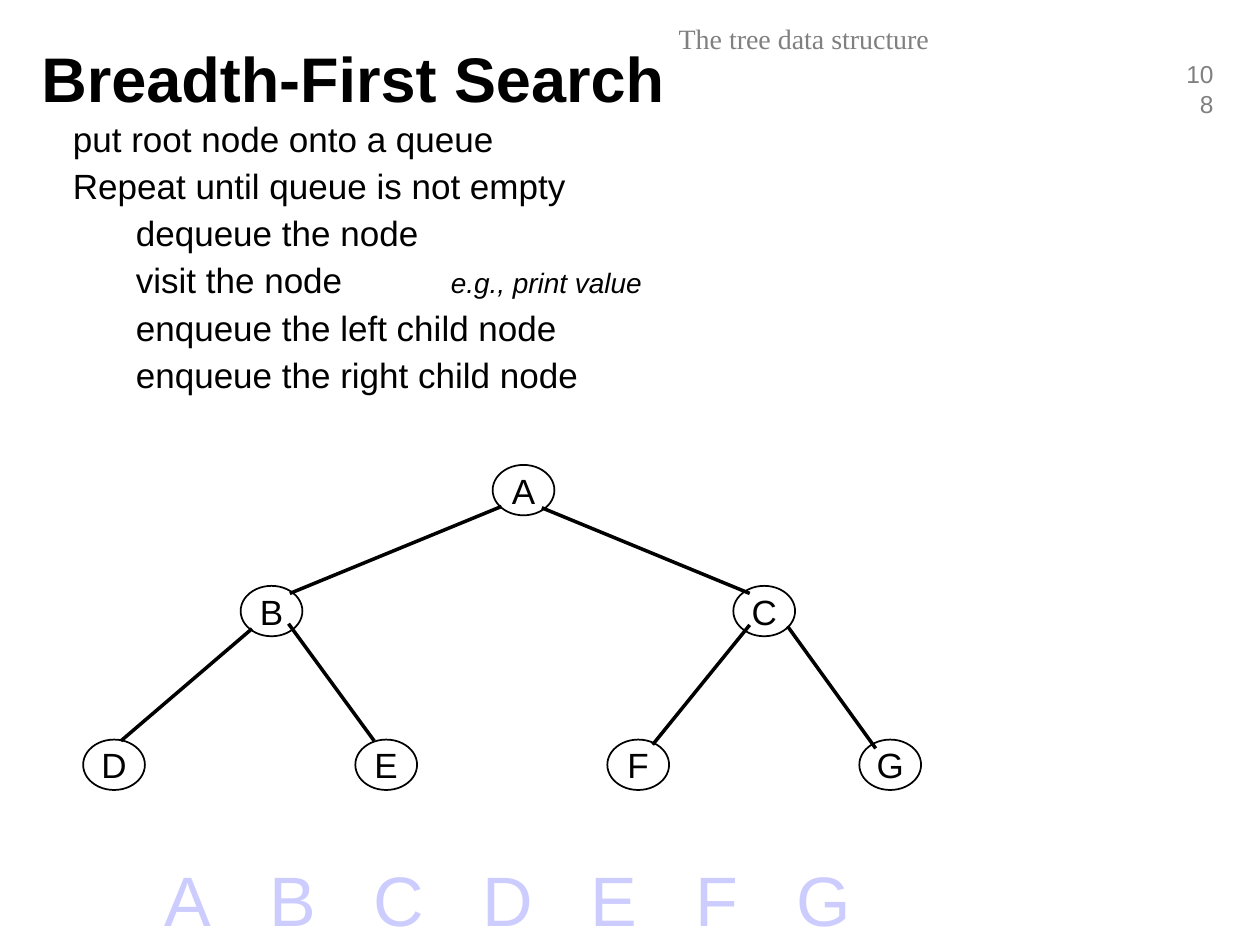
from dataclasses import dataclass
from itertools import accumulate

from lxml.etree import SubElement
from pptx import Presentation
from pptx.dml.color import RGBColor
from pptx.enum.shapes import MSO_CONNECTOR, MSO_SHAPE
from pptx.enum.text import MSO_ANCHOR, PP_ALIGN
from pptx.oxml import parse_xml
from pptx.oxml.ns import nsdecls, qn
from pptx.util import Inches, Pt


@dataclass(frozen=True)
class Theme:
    sans: str = "Arial"
    serif: str = "Times New Roman"
    black: RGBColor = RGBColor(0, 0, 0)
    white: RGBColor = RGBColor(255, 255, 255)
    grey: RGBColor = RGBColor(0x80, 0x80, 0x80)
    lilac: RGBColor = RGBColor(0xCC, 0xCC, 0xFF)
    title: int = 36
    visit: int = 40
    body: int = 20
    note: int = 16
    number: int = 14


THEME = Theme()

# Tree: node name -> left, top; edges run from parent to child
NODE_SIZE = (0.49, 0.4)
NODES = {
    "A": (3.91, 3.69),
    "B": (1.91, 4.65), "C": (5.82, 4.65),
    "D": (0.66, 5.87), "E": (2.82, 5.87), "F": (4.82, 5.87), "G": (6.82, 5.87),
}
EDGES = [
    ((3.98, 4.02), (2.3, 4.71)),
    ((4.3, 4.03), (5.95, 4.71)),
    ((2, 4.99), (0.96, 5.88)),
    ((5.95, 4.96), (5.18, 5.91)),
    ((6.25, 4.97), (6.95, 5.94)),
    ((2.29, 4.95), (2.97, 5.88)),
]

# Algorithm: indent in inches, then the text with an optional side note
STEPS = [
    (0.5, "put root node onto a queue", ""),
    (0.5, "Repeat until queue is not empty", ""),
    (1, "dequeue the node", ""),
    (1, "visit the node\t\t", "e.g., print value"),
    (1, "enqueue the left child node", ""),
    (1, "enqueue the right child node", ""),
]

# Visiting order: letter widths plus an equal gap give the tab stops
LETTER_WIDTHS = {"A": 0.37, "B": 0.37, "C": 0.4, "D": 0.4, "E": 0.37, "F": 0.34}
LETTER_GAP = 0.46


def set_format(target, values):
    for name, value in values.items():
        setattr(target, name, value)


def add_span(para, text, size, color=THEME.black, name=THEME.sans, **extra):
    span = para.add_run()
    span.text = text
    set_format(span.font, {"name": name, "size": Pt(size), **extra})
    span.font.color.rgb = color
    return span


def add_box(page, left, top, width, height, anchor=MSO_ANCHOR.TOP):
    box = page.shapes.add_textbox(*map(Inches, (left, top, width, height)))
    set_format(box.text_frame, {"word_wrap": True, "vertical_anchor": anchor})
    return box.text_frame


def add_line_of_text(page, place, text, size, align=PP_ALIGN.LEFT,
                     anchor=MSO_ANCHOR.TOP, **font):
    para = add_box(page, *place, anchor=anchor).paragraphs[0]
    para.alignment = align
    add_span(para, text, size, **font)


def add_steps(page):
    frame = add_box(page, -0.02, 0.88, 5.78, 2.29)
    for index, (indent, text, note) in enumerate(STEPS):
        para = frame.add_paragraph() if index else frame.paragraphs[0]
        if index:
            para.space_before = Pt(3)
        properties = para._p.get_or_add_pPr()
        properties.set("marL", str(Inches(indent)))
        properties.set("indent", "0")
        add_span(para, text, THEME.body)
        if note:
            add_span(para, note, THEME.note, italic=True)


def add_node(page, name, left, top):
    node = page.shapes.add_shape(
        MSO_SHAPE.OVAL, *map(Inches, (left, top, *NODE_SIZE)))
    node.shadow.inherit = False
    node.fill.solid()
    node.fill.fore_color.rgb = THEME.white
    node.line.color.rgb = THEME.black
    node.line.width = Pt(1)
    set_format(node.text_frame, {
        "margin_left": 0, "margin_right": 0, "margin_top": 0, "margin_bottom": 0,
        "word_wrap": False, "vertical_anchor": MSO_ANCHOR.MIDDLE})
    para = node.text_frame.paragraphs[0]
    para.alignment = PP_ALIGN.CENTER
    add_span(para, name, THEME.body)


def add_edge(page, start, end):
    edge = page.shapes.add_connector(
        MSO_CONNECTOR.STRAIGHT, *map(Inches, (*start, *end)))
    edge.line.color.rgb = THEME.black
    edge.line.width = Pt(2)
    SubElement(edge._element.spPr, qn("a:effectLst"))


def add_visit_order(page):
    para = add_box(page, 1.21, 6.75, 5.88, 0.78).paragraphs[0]
    tabs = SubElement(para._p.get_or_add_pPr(), qn("a:tabLst"))
    for stop in accumulate(width + LETTER_GAP for width in LETTER_WIDTHS.values()):
        SubElement(tabs, qn("a:tab"), pos=str(Inches(stop)), algn="l")
    span = add_span(para, "\t".join(NODES), THEME.visit, THEME.lilac)
    # Text shadow, placed right after the fill
    shadow = parse_xml(
        f'<a:effectLst {nsdecls("a")}><a:outerShdw dist="35921" dir="2700000">'
        '<a:srgbClr val="000000"/></a:outerShdw></a:effectLst>')
    span.font._element.find(qn("a:solidFill")).addnext(shadow)


def main():
    deck = Presentation()
    deck.slide_width, deck.slide_height = Inches(10), Inches(7.5)
    page = deck.slides.add_slide(deck.slide_layouts[6])

    # Header and title
    add_line_of_text(page, (9.29, 0.42, 0.44, 0.33), "108", THEME.number,
                     PP_ALIGN.RIGHT, color=THEME.grey)
    add_line_of_text(page, (3.19, 0.12, 6.38, 0.4), "The tree data structure",
                     THEME.note, PP_ALIGN.CENTER, color=THEME.grey, name=THEME.serif)
    add_line_of_text(page, (0.23, 0.15, 8.03, 0.93), "Breadth-First Search",
                     THEME.title, anchor=MSO_ANCHOR.MIDDLE, bold=True)

    # Tree
    for name, place in NODES.items():
        add_node(page, name, *place)
    for start, end in EDGES:
        add_edge(page, start, end)

    # Visiting order and algorithm
    add_visit_order(page)
    add_steps(page)

    deck.save("out.pptx")


if __name__ == "__main__":
    main()
